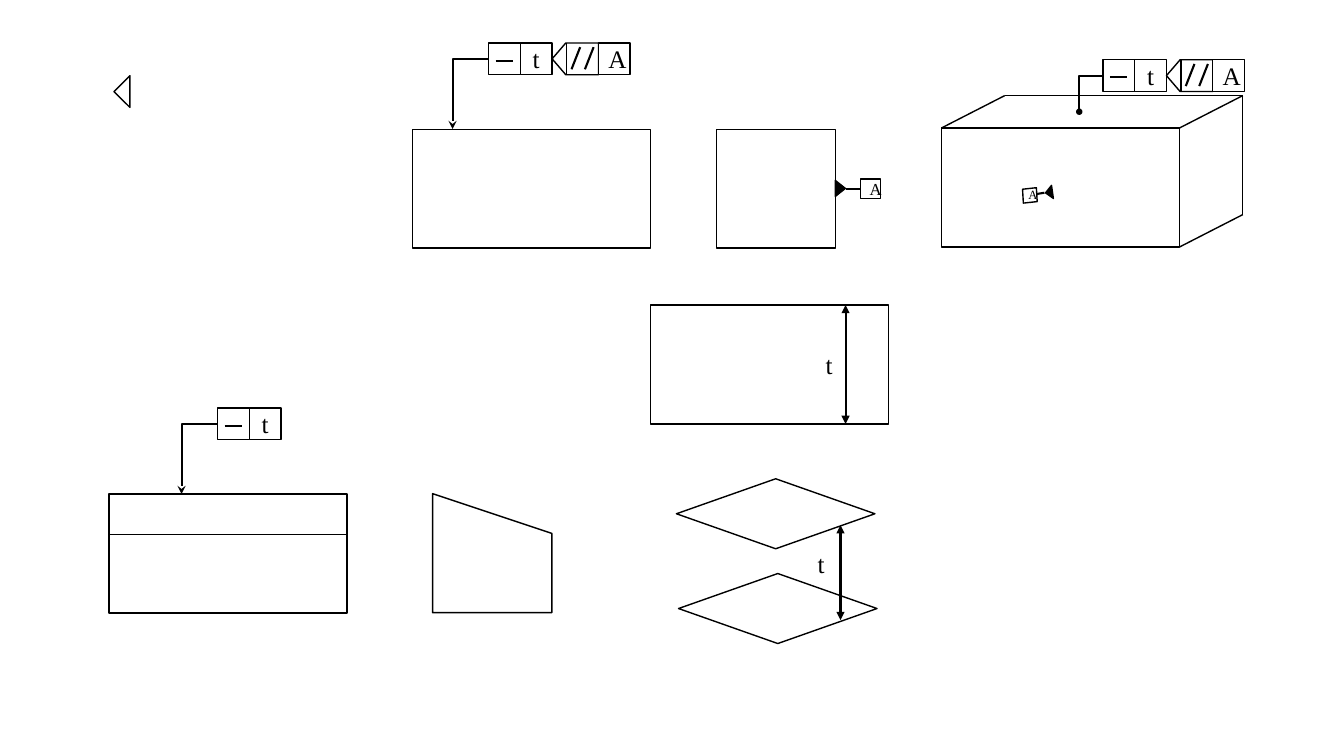
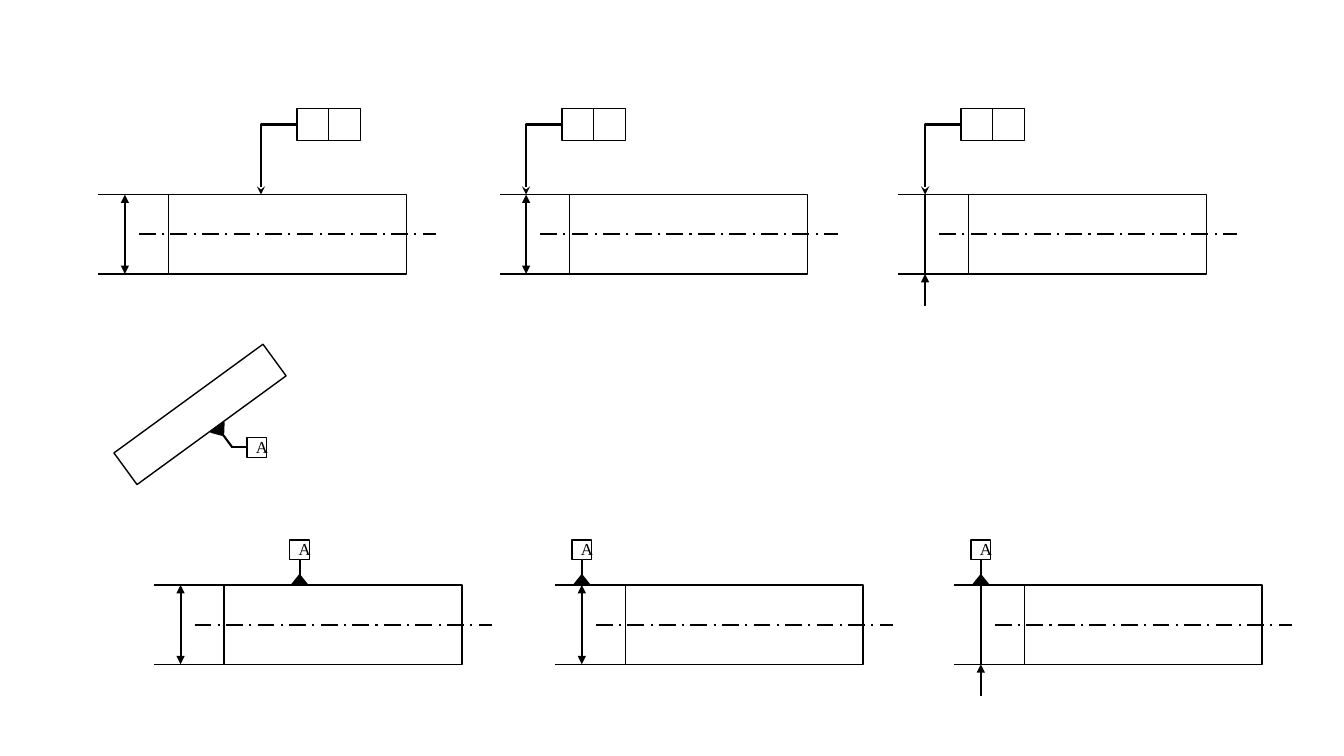
from lxml import etree
from pptx import Presentation
from pptx.dml.color import RGBColor
from pptx.enum.dml import MSO_LINE as Dash
from pptx.enum.shapes import MSO_CONNECTOR as Link, MSO_SHAPE as Form
from pptx.enum.text import MSO_AUTO_SIZE as Fit, PP_ALIGN as Align
from pptx.oxml.ns import qn
from pptx.util import Pt

INK, PAPER = "000000", "FFFFFF"
FONT = "Times New Roman"
CELL, TAG = 22.68, 14.2
LONG, SIDE, DEEP = 170, 85, 56.7
TIP_W, TIP_H = 11.5, 7.2


def paint(fill, color):
    """Fill solidly with a hex colour."""
    fill.solid()
    fill.fore_color.rgb = RGBColor.from_string(color)


def style(item, fill=PAPER):
    """Give a shape its fill and thin outline."""
    item.shadow.inherit = False
    if fill:
        paint(item.fill, fill)
    else:
        item.fill.background()
    paint(item.line.fill, INK)
    item.line.width = Pt(1)
    return item


def shape(slide, form, x, y, w, h, fill=PAPER, turn=0):
    """Add an outlined preset shape."""
    item = slide.shapes.add_shape(form, Pt(x), Pt(y), Pt(w), Pt(h))
    item.rotation = turn
    return style(item, fill)


def rect(slide, x, y, w, h):
    """Add a plain rectangle."""
    return shape(slide, Form.RECTANGLE, x, y, w, h)


def ends(link, **heads):
    """Set the arrowheads of a connector and drop its shadow."""
    props = link.element.spPr
    line = props.find(qn("a:ln"))
    for name, kind in heads.items():
        if kind:
            etree.SubElement(line, qn(f"a:{name}End"), type=kind)
    etree.SubElement(props, qn("a:effectLst"))


def line(slide, x1, y1, x2, y2, width=1.5, head=None, tail=None,
         dash=None, start=None, end=None, kind=Link.STRAIGHT):
    """Add a connector, joined to (shape, side) pairs when given."""
    link = slide.shapes.add_connector(kind, Pt(x1), Pt(y1), Pt(x2), Pt(y2))
    if start:
        link.begin_connect(*start)
    if end:
        link.end_connect(*end)
    paint(link.line.fill, INK)
    link.line.width = Pt(width)
    if dash:
        link.line.dash_style = dash
    ends(link, head=head, tail=tail)
    return link


def lead(slide, cell, x, y, x2, y2, tail="stealth", end=None):
    """Add a one-bend leader from the left side of a cell."""
    link = line(slide, x, y, x2, y2, tail=tail, start=(cell, 1), end=end,
                kind=Link.ELBOW)
    link.element.spPr.find(qn("a:prstGeom")).set("prst", "bentConnector2")


def span(slide, x, top, base):
    """Add a vertical dimension with two arrowheads."""
    line(slide, x, top, x, base, head="triangle", tail="triangle")


def label(slide, text, x, y, w=CELL, h=28.8, size=18):
    """Add a centred letter."""
    box = slide.shapes.add_textbox(Pt(x), Pt(y), Pt(w), Pt(h))
    frame = box.text_frame
    frame.word_wrap = True
    frame.auto_size = Fit.SHAPE_TO_FIT_TEXT
    par = frame.paragraphs[0]
    par.text = text
    par.alignment = Align.CENTER
    par.font.size = Pt(size)
    par.font.name = FONT
    par.font.color.rgb = RGBColor.from_string(INK)


def cells(slide, x, y):
    """Add two frame cells and return the first."""
    first = rect(slide, x, y, CELL, CELL)
    rect(slide, x + CELL, y, CELL, CELL)
    return first


def control(slide, x, y):
    """Add cells with the straightness sign and its value."""
    first = cells(slide, x, y)
    line(slide, x + 5, y + 12.6, x + 17.5, y + 12.6)
    label(slide, "t", x + CELL, y - 3.2)
    return first


def plane(slide, x, y):
    """Add the parallel plane indicator."""
    width = 33.1
    nib = shape(slide, Form.PENTAGON, x, y, width, CELL, turn=180)
    nib.adjustments[0] = 0.43
    rect(slide, x + width, y, CELL, CELL)
    edge = x + width - CELL
    line(slide, edge, y, edge, y + CELL, 1)
    for dx in (3.4, 13):
        line(slide, edge + dx, y + 18.8, edge + dx + 6.2, y + 3)
    label(slide, "A", x + width, y - 3.2)


def tag(slide, x, y):
    """Add a boxed datum letter."""
    box = rect(slide, x, y, TAG, TAG)
    label(slide, "A", x - 0.7, y - 4, 15.8, 21.6, 12)
    return box


def tip(slide, x, y, turn=0, w=TIP_W, h=TIP_H):
    """Add a solid datum triangle."""
    shape(slide, Form.ISOSCELES_TRIANGLE, x, y, w, h, INK, turn)


def datum(slide, x, y):
    """Add an upright datum standing on a line."""
    tip(slide, x - TIP_W / 2, y - TIP_H)
    box = tag(slide, x - TAG / 2, y - 18 - TAG)
    line(slide, x, y - TIP_H, x, y - 18, end=(box, 2))


def call(slide, x, y):
    """Add empty frame cells whose leader ends at a point."""
    left, top = x + 25.7, y - 61.4
    first = cells(slide, left, top)
    lead(slide, first, left, top + CELL / 2, x, y)


def shaft(slide, x, y, mark, at=None, split=False):
    """Add a side view with its axis, dimension and mark."""
    body = rect(slide, x, y, LONG, DEEP)
    base, size = y + DEEP, x - 31
    for side, level in ((0, y), (2, base)):
        line(slide, x + LONG / 2, level, x - 50, level, 1, start=(body, side))
    line(slide, x - 21, y + DEEP / 2, x + 191.5, y + DEEP / 2,
         dash=Dash.LONG_DASH_DOT)
    if split:
        line(slide, size, y, size, base)
        line(slide, size, base + CELL, size, base, tail="triangle")
    else:
        span(slide, size, y, base)
    mark(slide, x + at if at else size, y)


def block(slide, x, y):
    """Add a box in oblique view."""
    dx, dy = 45.3, -23.2
    right, base = x + LONG, y + SIDE
    rect(slide, x, y, LONG, SIDE)
    near = [(x, y), (right, y), (right, base)]
    far = [(a + dx, b + dy) for a, b in near]
    rear = [(far[0], far[1]), (far[1], far[2])]
    for start, end in [*zip(near, far), *rear]:
        line(slide, *start, *end, 1)


def planes(slide):
    """Draw the flat surface tolerances."""
    shape(slide, Form.ISOSCELES_TRIANGLE, 75.8, 59.7, CELL, 11.4, turn=270)
    rect(slide, 294.7, 92.3, LONG, SIDE)
    rect(slide, 512, 92.3, SIDE, SIDE)
    for x, y, left in ((349, 30.7, 323.3), (155.4, 291.4, 129.7)):
        lead(slide, control(slide, x, y), x, y + CELL / 2, left, y + 61.5)
    plane(slide, 394.4, 30.7)

    tip(slide, 594.5, 131, 90)
    box = tag(slide, 614.8, 127.8)
    line(slide, 604, 134.9, 614.8, 134.9, start=None, end=(box, 1))

    block(slide, 672.4, 91.5)
    tip(slide, 744.6, 134.9, 261.9, 9.4, 5)
    line(slide, 746, 137.7, 738, 139)
    shape(slide, Form.DIAMOND, 728.8, 132.4, 13.7, 14.4, turn=40.2)
    label(slide, "A", 729.4, 129.6, 12.2, 18, 9)
    dot = shape(slide, Form.OVAL, 769.1, 78, 3.6, 3.6, INK)
    first = control(slide, 787.8, 42.7)
    lead(slide, first, 787.8, 54, 770.9, 78, None, (dot, 0))
    plane(slide, 833.2, 42.7)

    rect(slide, 77.8, 352.8, LONG, SIDE)
    line(slide, 77.8 + LONG, 381.6, 77.8, 381.6, 1)
    left, right, top, base = 309, 394.2, 352.6, 437.6
    path = slide.shapes.build_freeform(Pt(left), Pt(top))
    rest = ((right, 381), (right, base), (left, base))
    path.add_line_segments([(Pt(x), Pt(y)) for x, y in rest], close=True)
    style(path.convert_to_shape())

    rect(slide, 464.8, 217.8, LONG, SIDE)
    span(slide, 604, 217.8, 217.8 + SIDE)
    label(slide, "t", 581, 246.2)
    for x, y in ((483.2, 342), (484.7, 409.7)):
        shape(slide, Form.DIAMOND, x, y, 141.8, 50)
    span(slide, 600.4, 375.1, 443)
    label(slide, "t", 575.3, 388.1)


def shafts(slide):
    """Draw the axis tolerances and datums."""
    rows = ((120.2, 139, call, 66.2), (160, 417.8, datum, 54))
    for left, y, mark, at in rows:
        shaft(slide, left, y, mark, at)
        shaft(slide, left + 286.6, y, mark)
        shaft(slide, left + 571.6, y, mark, split=True)

    shape(slide, Form.RECTANGLE, 77, 282, 131.8, 28, None, 323.9)
    tip(slide, 151.7, 304.6, 143.6)
    line(slide, 159.6, 311, 166, 319.6)
    box = tag(slide, 176.4, 312.5)
    line(slide, 165.2, 319.6, 176.4, 319.6, end=(box, 1))


def main():
    """Build and save the two slides."""
    deck = Presentation()
    deck.slide_width, deck.slide_height = Pt(960), Pt(540)
    for draw in (planes, shafts):
        draw(deck.slides.add_slide(deck.slide_layouts[6]))
    deck.save("out.pptx")


if __name__ == "__main__":
    main()
